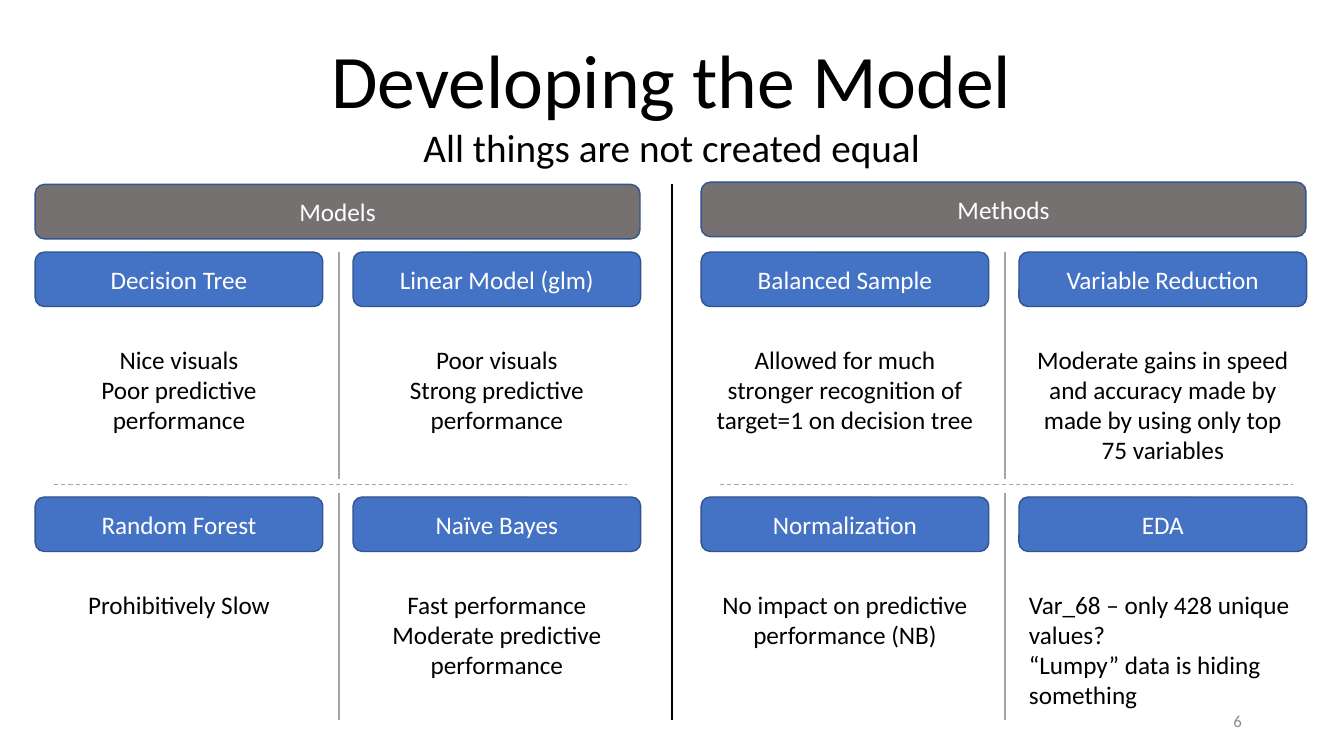
"""Build the 'Developing the Model' comparison slide."""
import pptx
import pptx.dml.color
import pptx.enum.dml
import pptx.enum.shapes
import pptx.enum.text
import pptx.oxml
import pptx.oxml.ns
import pptx.util

ALIGN = pptx.enum.text.PP_ALIGN
ANCHOR = pptx.enum.text.MSO_ANCHOR
SHAPES = pptx.enum.shapes
BLACK, WHITE, GRAY, BLUE, NAVY = "000000", "FFFFFF", "A5A5A5", "4472C4", "325491"
HEADER_FILL, NUMBER_COLOR = "767171", "8C8C8C"


def paint(color_format, hex_color):
    color_format.rgb = pptx.dml.color.RGBColor.from_string(hex_color)


class Board:
    """Draws styled elements on a grid of 100 columns and 100 rows."""

    def __init__(self, deck, font="Calibri"):
        self.font = font
        self.column = deck.slide_width / 100
        self.row = deck.slide_height / 100
        self.slide = deck.slides.add_slide(deck.slide_layouts[5])

    def area(self, left, top, width, height):
        return [round(left * self.column), round(top * self.row),
                round(width * self.column), round(height * self.row)]

    def set_lines(self, shape, lines, sizes, color, align, anchor):
        frame = shape.text_frame
        settings = {"word_wrap": True, "vertical_anchor": anchor,
                    "auto_size": pptx.enum.text.MSO_AUTO_SIZE.NONE}
        for name, value in settings.items():
            setattr(frame, name, value)
        frame.text = "\n".join(lines)
        for paragraph, size in zip(frame.paragraphs, sizes):
            paragraph.alignment = align
            settings = {"name": self.font, "size": pptx.util.Pt(size)}
            for name, value in settings.items():
                setattr(paragraph.runs[0].font, name, value)
            paint(paragraph.runs[0].font.color, color)

    def heading(self, place, lines, sizes):
        title = self.slide.shapes.title
        for name, value in zip(("left", "top", "width", "height"), self.area(*place)):
            setattr(title, name, value)
        self.set_lines(title, lines, sizes, BLACK, ALIGN.CENTER, ANCHOR.TOP)

    def text(self, place, lines, size=18, color=BLACK, align=ALIGN.CENTER, anchor=ANCHOR.TOP):
        box = self.slide.shapes.add_textbox(*self.area(*place))
        self.set_lines(box, lines, [size] * len(lines), color, align, anchor)

    def label(self, place, caption, fill):
        plate = self.slide.shapes.add_shape(
            SHAPES.MSO_SHAPE.ROUNDED_RECTANGLE, *self.area(*place))
        plate.shadow.inherit = False
        plate.fill.solid()
        paint(plate.fill.fore_color, fill)
        paint(plate.line.color, NAVY)
        plate.line.width = pptx.util.Pt(1)
        self.set_lines(plate, [caption], [18], WHITE, ALIGN.CENTER, ANCHOR.MIDDLE)

    def line(self, start, end, color=GRAY, width=1, dash=None):
        ends = self.area(*start, *end)
        rule = self.slide.shapes.add_connector(SHAPES.MSO_CONNECTOR.STRAIGHT, *ends)
        paint(rule.line.color, color)
        for name, value in {"width": pptx.util.Pt(width), "dash_style": dash}.items():
            setattr(rule.line, name, value)
        properties = rule._element.find(pptx.oxml.ns.qn("p:spPr"))
        properties.append(pptx.oxml.parse_xml(
            f"<a:effectLst {pptx.oxml.ns.nsdecls('a')}/>"))


deck = pptx.Presentation()
deck.slide_width = pptx.util.Inches(13.33)
deck.slide_height = pptx.util.Inches(7.5)
board = Board(deck)

MARGIN, HALF_STEP, TOPIC_STEP, TOPIC_WIDTH = 2.62, 49.55, 23.65, 21.4
TOPIC_TOP, TOPIC_ROW_STEP, LABEL_HEIGHT = 33.35, 32.4, 7.2
NOTE_DROP, NOTE_HEIGHT = 11.5, 17.4
DIVIDER_ROWS = [(33.3, 63.3), (65.2, 95.2)]

halves = [
    ("Models", 24.4, [
        [("Decision Tree", ["Nice visuals", "Poor predictive performance"]),
         ("Linear Model (glm)", ["Poor visuals", "Strong predictive performance"])],
        [("Random Forest", ["Prohibitively Slow"]),
         ("Naïve Bayes", ["Fast performance", "Moderate predictive performance"])],
    ]),
    ("Methods", 24.1, [
        [("Balanced Sample", ["Allowed for much stronger recognition of "
                              "target=1 on decision tree"]),
         ("Variable Reduction", ["Moderate gains in speed and accuracy made by "
                                 "made by using only top 75 variables"])],
        [("Normalization", ["No impact on predictive performance (NB)"]),
         ("EDA", ["Var_68 – only 428 unique values?",
                  "“Lumpy” data is hiding something"])],
    ]),
]

board.heading((MARGIN, 3.7, 94.7, 19.7),
              ["Developing the Model", "All things are not created equal"], [54, 28])
board.line((50, 24.4), (50, 95.2), BLACK, 1.5)

for half, (header, header_top, topic_rows) in enumerate(halves):
    half_left = MARGIN + half * HALF_STEP
    board.label((half_left, header_top, 45, LABEL_HEIGHT), header, HEADER_FILL)
    board.line((half_left + 1.4, 64.13), (half_left + 44, 64.13), width=0.75,
               dash=pptx.enum.dml.MSO_LINE.DASH)
    for row, topics in enumerate(topic_rows):
        divider = half_left + 22.6
        divider_top, divider_bottom = DIVIDER_ROWS[row]
        board.line((divider, divider_top), (divider, divider_bottom))
        top = TOPIC_TOP + row * TOPIC_ROW_STEP
        for column, (topic, notes) in enumerate(topics):
            left = half_left + column * TOPIC_STEP
            board.label((left, top, TOPIC_WIDTH, LABEL_HEIGHT), topic, BLUE)
            align = ALIGN.LEFT if topic == "EDA" else ALIGN.CENTER
            board.text((left, top + NOTE_DROP, TOPIC_WIDTH, NOTE_HEIGHT), notes, align=align)

board.text((70.65, 92.7, 22.5, 5.3), ["6"], 12, NUMBER_COLOR, ALIGN.RIGHT, ANCHOR.MIDDLE)

deck.save("out.pptx")
